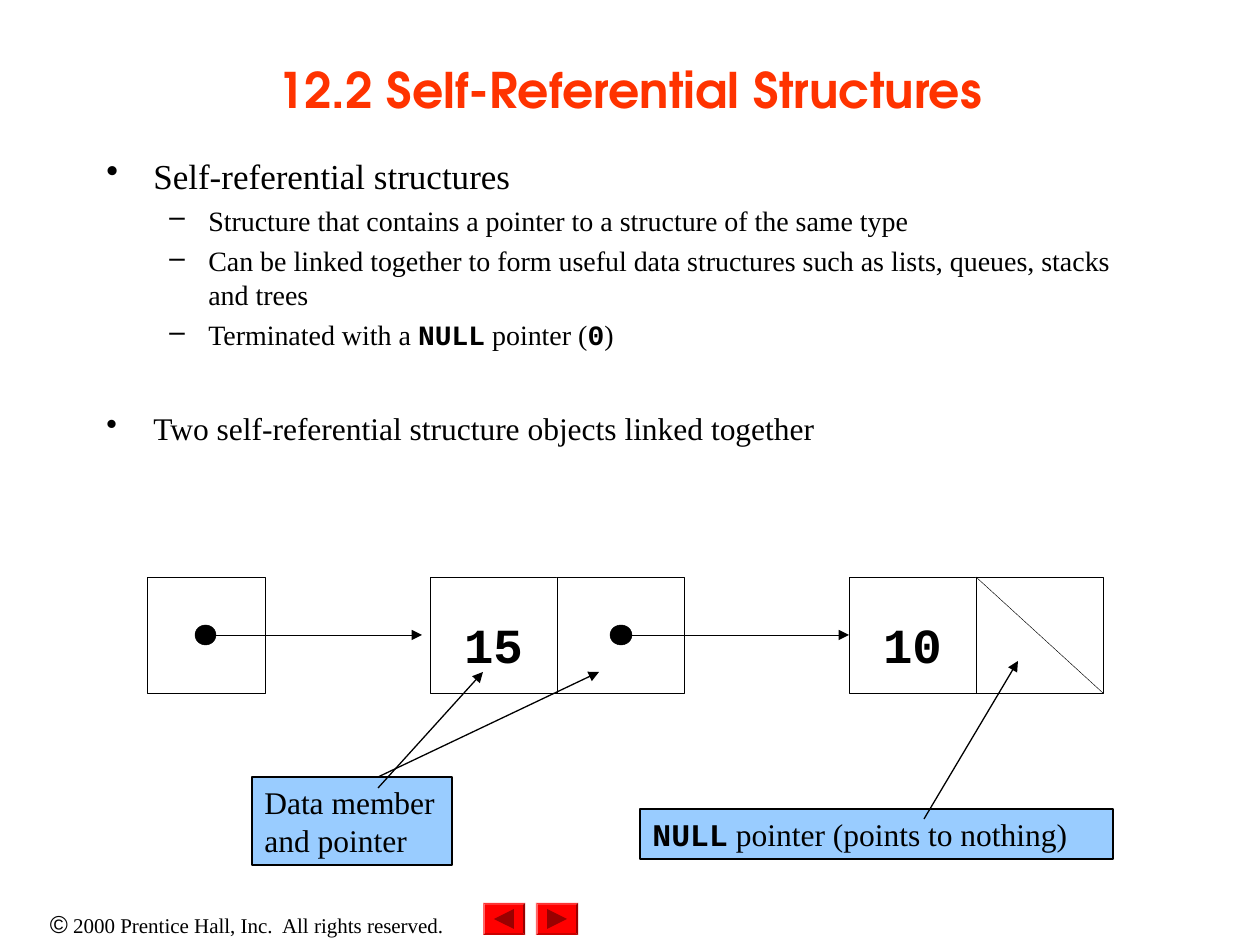
import pptx
import pptx.util
import pptx.dml.color
import pptx.enum.shapes
import pptx.enum.text
import pptx.oxml.ns
import lxml.etree

Pt = pptx.util.Pt
RGB = pptx.dml.color.RGBColor
SHAPE = pptx.enum.shapes.MSO_SHAPE
ALIGN = pptx.enum.text.PP_ALIGN
ANCHOR = pptx.enum.text.MSO_ANCHOR
qn = pptx.oxml.ns.qn

BLACK = RGB(0, 0, 0)
WHITE = RGB(255, 255, 255)
ORANGE = RGB(255, 51, 0)
BLUE = RGB(153, 204, 255)
RED = RGB(255, 0, 0)
MAROON = RGB(153, 0, 0)
SERIF, MONO, SANS, HEAD = "Times New Roman", "Courier New", "Arial", "TeX Gyre Adventor"

TITLE = "12.2 Self-Referential Structures"
BODY = [
    (0, 20, 0, [("Self-referential structures", SERIF)]),
    (1, 16, 4, [("Structure that contains a pointer to a structure of the same type", SERIF)]),
    (1, 16, 4, [("Can be linked together to form useful data structures such as "
                 "lists, queues, stacks and trees", SERIF)]),
    (1, 16, 4, [("Terminated with a ", SERIF), ("NULL", MONO), (" pointer (", SERIF),
                ("0", MONO), (")", SERIF)]),
    (0, 18, 33, [("Two self-referential structure objects linked together", SERIF)]),
]
BULLETS = [("•", 47, 47), ("–", 102, 39)]
TOP, HIGH, WIDE = 577, 116, 127
MID = TOP + HIGH // 2
CELLS = [(147, 118, ""), (430, WIDE, "15"), (430 + WIDE, WIDE, ""),
         (849, WIDE, "10"), (849 + WIDE, WIDE, "")]
DOTS = [(195, 21), (610, 22)]
LABELS = [
    ((252, 777, 200, 88), [("Data member and pointer", SERIF)]),
    ((640, 809, 473, 50), [("NULL", MONO), (" pointer (points to nothing)", SERIF)]),
]
HINTS = [(378, 788, 483, 672), (378, 777, 599, 672), (924, 819, 1018, 661)]
FOOTER = [("©", SANS, 14), (" 2000 Prentice Hall, Inc.  All rights reserved.", SERIF, 12)]
BUTTONS = [(483, -90), (536, 90)]


def px(n):
    return round(n * 914400 / 126)


def box(kind, rect, fill, line=None):
    shape = slide.shapes.add_shape(kind, *map(px, rect))
    shape.shadow.inherit = False
    shape.fill.solid()
    shape.fill.fore_color.rgb = fill
    if line:
        shape.line.color.rgb = BLACK
        shape.line.width = Pt(line)
    else:
        shape.line.fill.background()
    return shape


def link(ends, width, arrow=True):
    line = slide.shapes.add_connector(pptx.enum.shapes.MSO_CONNECTOR.STRAIGHT, *map(px, ends))
    line.line.color.rgb = BLACK
    line.line.width = Pt(width)
    if arrow:
        lxml.etree.SubElement(line.line._get_or_add_ln(), qn("a:tailEnd"), type="triangle")
    lxml.etree.SubElement(line._element.spPr, qn("a:effectLst"))
    return line


def style(run, face, size, color=BLACK, bold=False):
    run.font.name = face
    run.font.size = Pt(size)
    run.font.color.rgb = color
    run.font.bold = bold


def write(para, parts, size):
    for text, face in parts:
        run = para.add_run()
        run.text = text
        style(run, face, size, bold=face == MONO)


def bullet(para, level):
    mark, left, hang = BULLETS[level]
    props = para._p.get_or_add_pPr()
    props.set("marL", str(px(left)))
    props.set("indent", str(-px(hang)))
    lxml.etree.SubElement(props, qn("a:buChar"), char=mark)
    para.level = level


def text_box(rect):
    frame = slide.shapes.add_textbox(*map(px, rect)).text_frame
    frame.word_wrap = True
    return frame


deck = pptx.Presentation()
deck.slide_width, deck.slide_height = px(1260), px(945)
slide = deck.slides.add_slide(deck.slide_layouts[5])

title = slide.shapes.title
title.left, title.top, title.width, title.height = map(px, (94, 10, 1071, 158))
title.text_frame.text = TITLE
title.text_frame.auto_size = pptx.enum.text.MSO_AUTO_SIZE.NONE
title.text_frame.vertical_anchor = ANCHOR.MIDDLE
head = title.text_frame.paragraphs[0]
head.alignment = ALIGN.CENTER
style(head.runs[0], HEAD, 28, ORANGE, True)

frame = text_box((94, 148, 1071, 320))
for i, (level, size, gap, parts) in enumerate(BODY):
    para = frame.add_paragraph() if i else frame.paragraphs[0]
    bullet(para, level)
    para.space_before = Pt(gap)
    write(para, parts, size)

cells = []
for left, width, text in CELLS:
    cell = box(SHAPE.RECTANGLE, (left, TOP, width, HIGH), WHITE, 0.25)
    cells.append(cell)
    if text:
        cell.text_frame.margin_top = px(18)
        cell.text_frame.margin_bottom = 0
        cell.text_frame.vertical_anchor = ANCHOR.MIDDLE
        para = cell.text_frame.paragraphs[0]
        para.alignment = ALIGN.CENTER
        write(para, [(text, MONO)], 28)

for left, width in DOTS:
    box(SHAPE.OVAL, (left, MID - 10, width, 20), BLACK, 0.25)
link((206, MID, 422, MID), 0.25)
link((616, MID, 849, MID), 0.25).end_connect(cells[3], 1)
link((849 + WIDE, TOP, 849 + 2 * WIDE, TOP + HIGH), 0.25, False)

for rect, parts in LABELS:
    label = box(SHAPE.RECTANGLE, rect, BLUE, 0.75)
    label.text_frame.word_wrap = True
    label.text_frame.vertical_anchor = ANCHOR.TOP
    para = label.text_frame.paragraphs[0]
    para.alignment = ALIGN.LEFT
    write(para, parts, 18)
for ends in HINTS:
    link(ends, 0.75)

para = text_box((0, 903, 494, 42)).paragraphs[0]
para.alignment = ALIGN.CENTER
for text, face, size in FOOTER:
    write(para, [(text, face)], size)

for left, turn in BUTTONS:
    box(SHAPE.BEVEL, (left, 903, 42, 32), RED).adjustments[0] = 0.06
    box(SHAPE.ISOSCELES_TRIANGLE, (left + 11, 909, 20, 20), MAROON).rotation = turn

deck.save("out.pptx")
